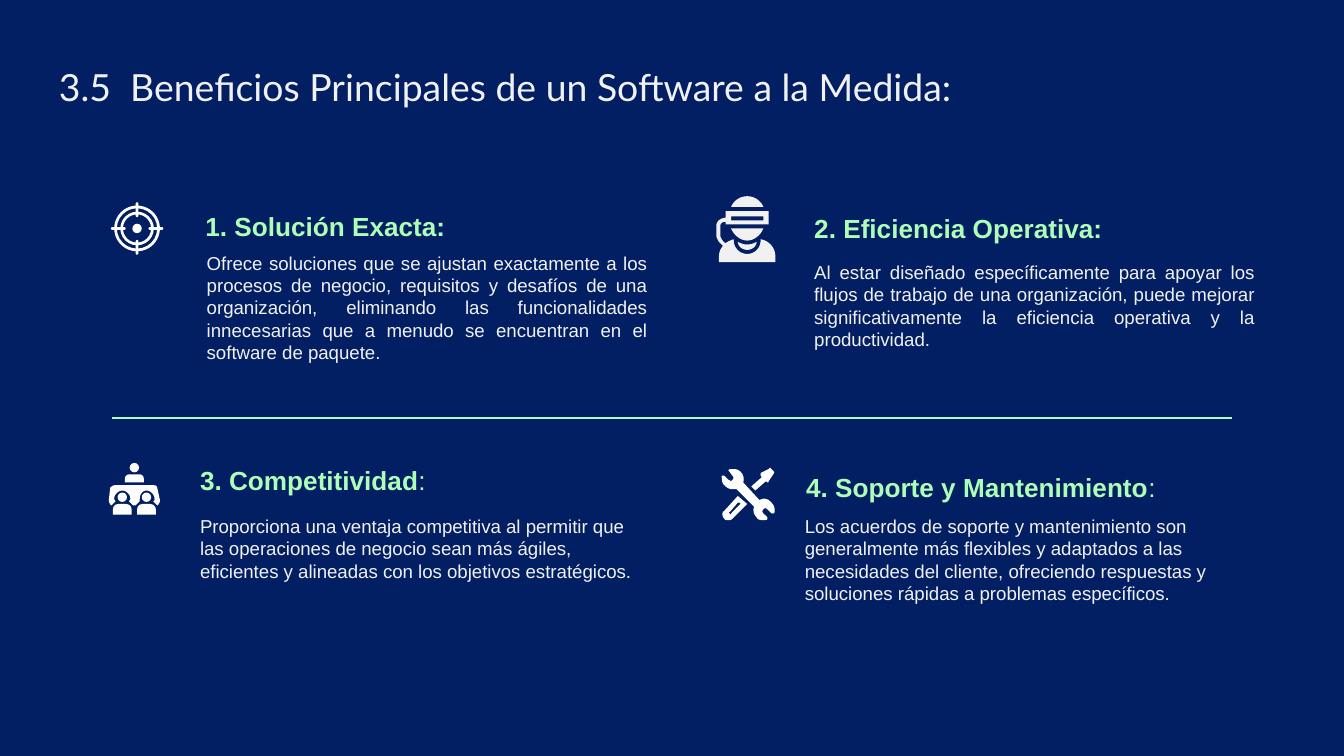
from dataclasses import dataclass

import pptx
import pptx.dml.color
import pptx.enum.shapes
import pptx.enum.text
import pptx.oxml.ns
import pptx.util
from lxml import etree

Inches = pptx.util.Inches
RGBColor = pptx.dml.color.RGBColor
Preset = pptx.enum.shapes.MSO_SHAPE
Align = pptx.enum.text.PP_ALIGN
Anchor = pptx.enum.text.MSO_ANCHOR

NAVY = RGBColor(0x02, 0x1F, 0x64)
MINT = RGBColor(0xAD, 0xFF, 0xB7)
OFF_WHITE = RGBColor(0xF1, 0xF1, 0xF1)
WHITE = RGBColor(0xFF, 0xFF, 0xFF)
CURVE_STEPS = 8

Box = tuple[float, float, float, float]
Point = tuple[float, float]


@dataclass
class Benefit:
    heading: str
    heading_box: Box
    body: str
    body_box: Box
    body_align: Align
    heading_indent: float = 0.17
    colon_bold: bool = True


BENEFITS = [
    Benefit("1. Solución Exacta", (0.93, 1.19, 4.47, 0.71),
            "Ofrece soluciones que se ajustan exactamente a los procesos de negocio, "
            "requisitos y desafíos de una organización, eliminando las funcionalidades "
            "innecesarias que a menudo se encuentran en el software de paquete.",
            (1.27, 1.77, 3.64, 1.32), Align.JUSTIFY, heading_indent=0.5),
    Benefit("2. Eficiencia Operativa", (5.79, 1.42, 3.33, 0.49),
            "Al estar diseñado específicamente para apoyar los flujos de trabajo de una "
            "organización, puede mejorar significativamente la eficiencia operativa y la "
            "productividad.",
            (5.79, 1.84, 3.64, 1.18), Align.JUSTIFY),
    Benefit("3. Competitividad", (1.22, 3.3, 3.33, 0.49),
            "Proporciona una ventaja competitiva al permitir que las operaciones de "
            "negocio sean más ágiles, eficientes y alineadas con los objetivos estratégicos.",
            (1.22, 3.73, 3.7, 1.4), Align.LEFT, colon_bold=False),
    Benefit("4. Soporte y Mantenimiento", (5.73, 3.35, 3.33, 0.49),
            "Los acuerdos de soporte y mantenimiento son generalmente más flexibles y "
            "adaptados a las necesidades del cliente, ofreciendo respuestas y soluciones "
            "rápidas a problemas específicos.",
            (5.72, 3.73, 3.77, 1.18), Align.LEFT, colon_bold=False),
]

HEADSET_USER = [
    "M 5.66 1.78 L 5.66 1.79 C 5.66 1.84 5.62 1.89 5.56 1.89 C 5.5 1.89 5.46 1.84 5.46 1.79 "
    "L 5.46 1.78 C 5.43 1.79 5.41 1.8 5.4 1.81 C 5.38 1.8 5.36 1.77 5.36 1.75 L 5.36 1.68 "
    "C 5.36 1.66 5.38 1.65 5.4 1.65 L 5.4 1.67 L 5.72 1.67 L 5.72 1.57 L 5.4 1.57 L 5.4 1.62 "
    "C 5.36 1.62 5.33 1.65 5.33 1.68 L 5.33 1.75 C 5.33 1.77 5.34 1.78 5.35 1.8 "
    "C 5.36 1.81 5.37 1.82 5.38 1.83 C 5.36 1.85 5.35 1.88 5.35 1.91 L 5.35 1.95 "
    "L 5.77 1.95 L 5.77 1.91 C 5.77 1.84 5.72 1.79 5.66 1.78 "
    "M 5.44 1.61 L 5.68 1.61 L 5.68 1.64 L 5.44 1.64",
    "M 5.49 1.8 C 5.49 1.83 5.52 1.86 5.56 1.86 C 5.6 1.86 5.63 1.83 5.63 1.8 "
    "C 5.61 1.81 5.59 1.82 5.56 1.82 C 5.53 1.82 5.51 1.81 5.49 1.8",
    "M 5.44 1.54 L 5.68 1.54 C 5.66 1.49 5.61 1.46 5.56 1.46 C 5.51 1.46 5.46 1.49 5.44 1.54",
    "M 5.68 1.7 L 5.44 1.7 C 5.46 1.75 5.51 1.79 5.56 1.79 C 5.61 1.79 5.66 1.75 5.68 1.7",
]
MEETING_TABLE = (
    "M 0.86 3.61 C 0.84 3.61 0.83 3.62 0.82 3.63 L 0.81 3.72 C 0.81 3.73 0.81 3.74 0.82 3.75 "
    "C 0.82 3.76 0.83 3.76 0.83 3.76 C 0.84 3.75 0.85 3.74 0.86 3.73 "
    "C 0.86 3.73 0.85 3.72 0.85 3.71 C 0.85 3.68 0.88 3.65 0.91 3.65 "
    "C 0.94 3.65 0.97 3.68 0.97 3.71 C 0.97 3.72 0.96 3.73 0.96 3.73 "
    "C 0.97 3.74 0.98 3.75 0.99 3.76 L 1.01 3.76 C 1.02 3.75 1.03 3.74 1.04 3.73 "
    "C 1.04 3.73 1.04 3.72 1.04 3.71 C 1.04 3.68 1.06 3.65 1.09 3.65 "
    "C 1.12 3.65 1.15 3.68 1.15 3.71 C 1.15 3.72 1.15 3.73 1.14 3.73 "
    "C 1.15 3.74 1.16 3.75 1.17 3.76 C 1.17 3.76 1.18 3.76 1.18 3.75 "
    "C 1.19 3.74 1.19 3.73 1.19 3.72 L 1.17 3.63 C 1.17 3.62 1.16 3.61 1.14 3.61"
)
TOOLS = [
    "M 5.45 3.49 C 5.44 3.49 5.42 3.49 5.42 3.5 L 5.45 3.54 C 5.46 3.55 5.46 3.56 5.45 3.57 "
    "C 5.45 3.57 5.44 3.58 5.44 3.58 C 5.43 3.58 5.43 3.57 5.42 3.57 L 5.39 3.54 L 5.37 3.54 "
    "C 5.37 3.57 5.37 3.6 5.4 3.62 C 5.41 3.63 5.43 3.64 5.45 3.64 L 5.48 3.64 L 5.61 3.77 "
    "C 5.6 3.8 5.61 3.83 5.63 3.85 C 5.64 3.87 5.66 3.87 5.68 3.87 "
    "C 5.69 3.87 5.71 3.87 5.71 3.86 L 5.71 3.85 L 5.68 3.82 C 5.67 3.81 5.67 3.8 5.68 3.79 "
    "C 5.68 3.79 5.69 3.78 5.69 3.78 C 5.7 3.78 5.71 3.79 5.71 3.79 L 5.74 3.82 L 5.76 3.82 "
    "C 5.77 3.79 5.76 3.76 5.74 3.74 C 5.72 3.72 5.71 3.71 5.68 3.71 L 5.65 3.72 L 5.53 3.59 "
    "C 5.54 3.56 5.53 3.53 5.51 3.51 C 5.49 3.49 5.47 3.49 5.45 3.49",
    "M 5.5 3.74 C 5.51 3.74 5.51 3.75 5.51 3.75 L 5.44 3.82 C 5.44 3.83 5.43 3.83 5.43 3.82 "
    "C 5.42 3.82 5.42 3.81 5.43 3.81 L 5.49 3.74 "
    "M 5.49 3.69 L 5.39 3.8 C 5.37 3.81 5.37 3.84 5.39 3.86 C 5.39 3.87 5.41 3.87 5.42 3.87 "
    "C 5.43 3.87 5.44 3.87 5.45 3.86 L 5.56 3.75",
    "M 5.73 3.48 L 5.72 3.49 L 5.66 3.52 C 5.66 3.53 5.66 3.54 5.66 3.54 L 5.67 3.55 "
    "L 5.59 3.62 L 5.62 3.65 L 5.7 3.58 C 5.71 3.59 5.71 3.59 5.71 3.59 "
    "C 5.72 3.59 5.72 3.58 5.72 3.58 L 5.76 3.52 L 5.76 3.51 L 5.74 3.49 L 5.73 3.48",
]


def add_text(slide, text: str, *, box: Box, size: float, color: RGBColor, font: str = "Arial",
             bold: bool = False, align: Align = Align.JUSTIFY, anchor: Anchor = Anchor.TOP,
             indent: float = 0, ending: str = "", ending_bold: bool = False) -> None:
    frame = slide.shapes.add_textbox(*map(Inches, box)).text_frame
    frame.word_wrap = True
    frame.vertical_anchor = anchor
    frame.margin_left = frame.margin_right = Inches(0.1)
    frame.margin_top = frame.margin_bottom = Inches(0.1)
    paragraph = frame.paragraphs[0]
    paragraph.alignment = align
    paragraph._p.get_or_add_pPr().set("marL", str(Inches(indent)))
    for words, is_bold in ((text, bold), (ending, ending_bold)):
        if words:
            run = paragraph.add_run()
            run.text = words
            run.font.name = font
            run.font.size = pptx.util.Pt(size)
            run.font.bold = is_bold
            run.font.color.rgb = color


def paint(shape, color: RGBColor) -> None:
    shape.shadow.inherit = False
    shape.fill.solid()
    shape.fill.fore_color.rgb = color
    shape.line.fill.background()


def add_centered(slide, preset: Preset, center: Point, width: float, height: float):
    x, y = center
    shape = slide.shapes.add_shape(preset, Inches(x - width / 2), Inches(y - height / 2),
                                   Inches(width), Inches(height))
    paint(shape, WHITE)
    return shape


def curve(points: list[Point]) -> list[Point]:
    weights = [((1 - t) ** 3, 3 * t * (1 - t) ** 2, 3 * t * t * (1 - t), t ** 3)
               for t in (step / CURVE_STEPS for step in range(1, CURVE_STEPS + 1))]
    return [tuple(sum(w * p[axis] for w, p in zip(row, points)) for axis in (0, 1))
            for row in weights]


def add_outline(slide, outline: str, color: RGBColor) -> None:
    builder = None
    for contour in outline.split("M")[1:]:
        tokens = iter(contour.split())
        start = (Inches(float(next(tokens))), Inches(float(next(tokens))))
        points = [start]
        for command in tokens:
            count = 3 if command == "C" else 1
            stops = [(Inches(float(next(tokens))), Inches(float(next(tokens))))
                     for _ in range(count)]
            points += curve([points[-1], *stops]) if command == "C" else stops
        if builder is None:
            builder = slide.shapes.build_freeform(*start, scale=1.0)
        else:
            builder.move_to(*start)
        builder.add_line_segments(points[1:], close=True)
    paint(builder.convert_to_shape(), color)


def add_target(slide, center: Point) -> None:
    x, y = center
    add_centered(slide, Preset.OVAL, center, 0.07, 0.07)
    for diameter in (0.25, 0.34):
        ring = add_centered(slide, Preset.DONUT, center, diameter, diameter)
        ring.adjustments[0] = 0.02 / diameter
    for side in (-1, 1):
        for tick_center, size in (((x + side * 0.14, y), (0.11, 0.02)),
                                  ((x, y + side * 0.14), (0.02, 0.11))):
            tick = add_centered(slide, Preset.ROUNDED_RECTANGLE, tick_center, *size)
            tick.adjustments[0] = 0.5


def add_meeting(slide) -> None:
    add_outline(slide, MEETING_TABLE, WHITE)
    for x, head_y, torso_y, torso_height in ((1, 3.48, 3.56, 0.06), (0.91, 3.7, 3.79, 0.08),
                                             (1.09, 3.7, 3.79, 0.08)):
        add_centered(slide, Preset.OVAL, (x, head_y), 0.07, 0.07)
        torso = add_centered(slide, Preset.ROUND_2_SAME_RECTANGLE, (x, torso_y),
                             0.14, torso_height)
        torso.adjustments[0] = 0.5


def add_divider(slide) -> None:
    divider = slide.shapes.add_connector(pptx.enum.shapes.MSO_CONNECTOR.STRAIGHT, Inches(9.17),
                                         Inches(3.11), Inches(0.83), Inches(3.11))
    divider.line.color.rgb = MINT
    divider.line.width = pptx.util.Pt(0.75)
    etree.SubElement(divider._element.spPr, pptx.oxml.ns.qn("a:effectLst"))


def main() -> None:
    deck = pptx.Presentation()
    deck.slide_width = Inches(10)
    deck.slide_height = deck.slide_width * 9 // 16
    slide = deck.slides.add_slide(deck.slide_layouts[6])
    slide.background.fill.solid()
    slide.background.fill.fore_color.rgb = NAVY
    add_text(slide, "3.5  Beneficios Principales de un Software a la Medida:",
             box=(0.34, 0.38, 9.44, 0.63), size=20, color=OFF_WHITE, font="Lato")
    for benefit in BENEFITS:
        add_text(slide, benefit.body, box=benefit.body_box, size=10, color=OFF_WHITE,
                 align=benefit.body_align, indent=0.17)
        add_text(slide, benefit.heading, box=benefit.heading_box, size=14, color=MINT, bold=True,
                 anchor=Anchor.BOTTOM, indent=benefit.heading_indent, ending=":",
                 ending_bold=benefit.colon_bold)
    add_divider(slide)
    add_target(slide, (1.02, 1.7))
    add_meeting(slide)
    for outlines, color in ((HEADSET_USER, OFF_WHITE), (TOOLS, WHITE)):
        for outline in outlines:
            add_outline(slide, outline, color)
    deck.save("out.pptx")


if __name__ == "__main__":
    main()
